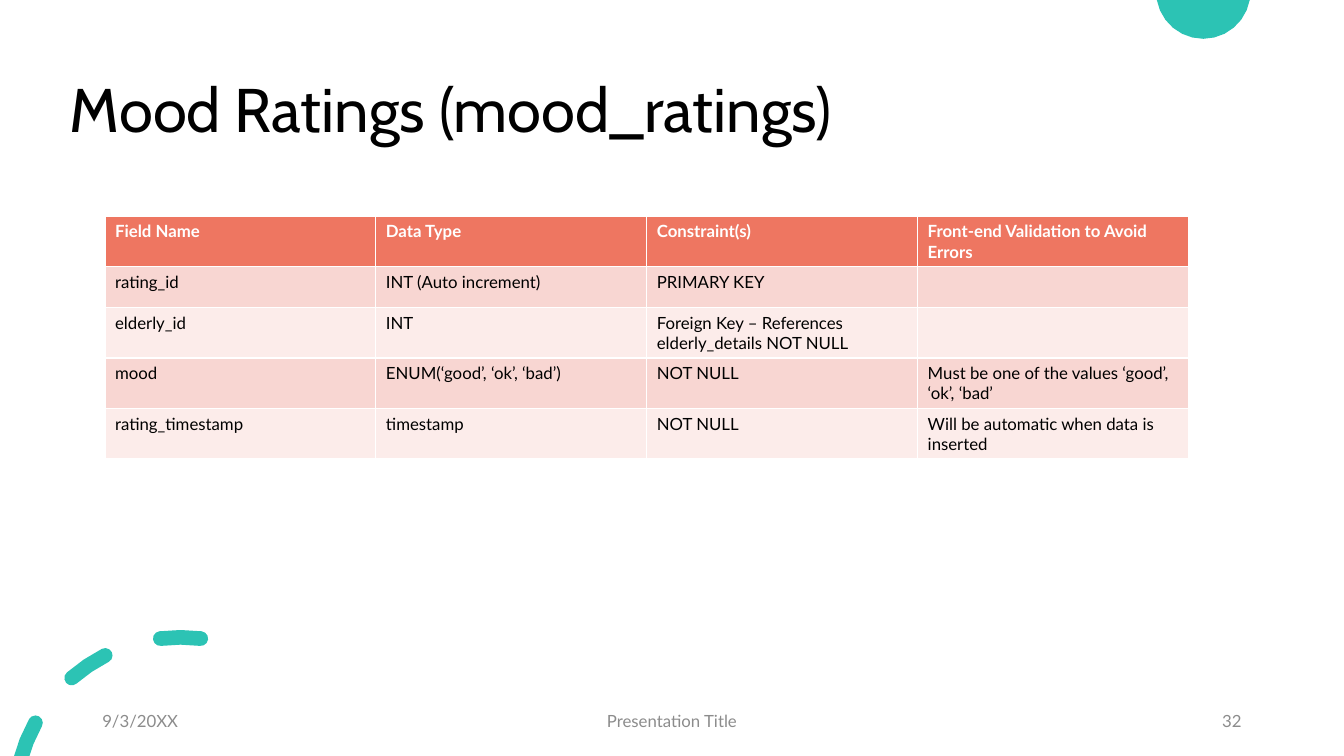
from dataclasses import dataclass
from math import cos, radians, sin

from pptx import Presentation
from pptx.dml.color import RGBColor
from pptx.enum.text import MSO_ANCHOR, MSO_AUTO_SIZE, PP_ALIGN
from pptx.util import Pt

EMU_PER_PX = 9525  # 96 px to the inch
SLIDE_WIDTH, SLIDE_HEIGHT = 1280, 720
LEFT, CENTER, RIGHT = PP_ALIGN.LEFT, PP_ALIGN.CENTER, PP_ALIGN.RIGHT
MIDDLE = MSO_ANCHOR.MIDDLE
NO_AUTOFIT = MSO_AUTO_SIZE.NONE
TITLE_FONT, BODY_FONT = "Cabin", "Lato"
COLORS = {
    "teal": "2CC3B4",
    "black": "000000",
    "white": "FFFFFF",
    "gray": "8C8C8C",
    "header": "EE7661",
    "band_dark": "F8D6D2",
    "band_light": "FCECEA",
}

Point = tuple[float, float]


@dataclass
class FooterItem:
    text: str
    left: int
    width: int
    alignment: PP_ALIGN


@dataclass
class Field:
    name: str
    data_type: str
    constraints: str
    validation: str


FOOTER_ITEMS = [
    FooterItem("9/3/20XX", 88, 288, LEFT),
    FooterItem("Presentation Title", 424, 432, CENTER),
    FooterItem("32", 904, 288, RIGHT),
]
FIELDS = [
    Field("Field Name", "Data Type", "Constraint(s)",
          "Front-end Validation to Avoid Errors"),
    Field("rating_id", "INT (Auto increment)", "PRIMARY KEY", ""),
    Field("elderly_id", "INT",
          "Foreign Key – References elderly_details NOT NULL", ""),
    Field("mood", "ENUM(‘good’, ‘ok’, ‘bad’)", "NOT NULL",
          "Must be one of the values ‘good’, ‘ok’, ‘bad’"),
    Field("rating_timestamp", "timestamp", "NOT NULL",
          "Will be automatic when data is inserted"),
]


def px(length: float) -> int:
    return round(length * EMU_PER_PX)


def rgb(color: str) -> RGBColor:
    return RGBColor.from_string(COLORS[color])


def add_run(paragraph, text: str, font: str, size: int, color: str,
            bold: bool = False) -> None:
    run = paragraph.add_run()
    run.text = text
    run.font.name = font
    run.font.size = Pt(size)
    run.font.bold = bold
    run.font.color.rgb = rgb(color)


def arc(center: Point, radius: float, start: float, end: float,
        steps: int) -> list[Point]:
    """Points along an arc; degrees run counterclockwise from the top."""
    angles = [radians(start + (end - start) * i / steps) for i in range(steps + 1)]
    return [(center[0] - radius * sin(a), center[1] - radius * cos(a)) for a in angles]


def dash(center: Point, radius: float, start: float, sweep: float,
         thickness: float) -> list[Point]:
    """Outline of a curved bar with round ends."""
    half, end = thickness / 2, start + sweep
    start_cap, end_cap = arc(center, radius, start, end, 1)
    return (arc(center, radius + half, start, end, 2)
            + arc(end_cap, half, end, end + 180, 6)[1:-1]
            + arc(center, radius - half, end, start, 2)
            + arc(start_cap, half, start + 180, start + 360, 6)[1:-1])


def cut_at_bottom(outline: list[Point]) -> list[Point]:
    """Keep the part of an outline above the slide's bottom edge."""
    kept = []
    for (x, y), (next_x, next_y) in zip(outline, outline[1:] + outline[:1]):
        if y <= SLIDE_HEIGHT:
            kept.append((x, y))
        if (y <= SLIDE_HEIGHT) != (next_y <= SLIDE_HEIGHT):
            share = (SLIDE_HEIGHT - y) / (next_y - y)
            kept.append((x + share * (next_x - x), SLIDE_HEIGHT))
    return kept


def add_outlines(slide, outlines: list[list[Point]], color: str) -> None:
    """Draw closed outlines as one shape."""
    contours = [[(px(x), px(y)) for x, y in outline] for outline in outlines]
    builder = slide.shapes.build_freeform(*contours[0][0], scale=1.0)
    for index, contour in enumerate(contours):
        if index:
            builder.move_to(*contour[0])
        builder.add_line_segments(contour[1:], close=True)
    shape = builder.convert_to_shape()
    shape.shadow.inherit = False
    shape.fill.solid()
    shape.fill.fore_color.rgb = rgb(color)
    shape.line.fill.background()


def add_title(slide, text: str) -> None:
    title = slide.shapes.title
    title.left, title.top, title.width, title.height = map(px, (57, 38, 1104, 139))
    frame = title.text_frame
    frame.auto_size = NO_AUTOFIT
    frame.vertical_anchor = MIDDLE
    paragraph = frame.paragraphs[0]
    paragraph.alignment = LEFT
    paragraph.line_spacing = 0.9
    add_run(paragraph, text, TITLE_FONT, 44, "black")


def add_footer_item(slide, item: FooterItem) -> None:
    box = slide.shapes.add_textbox(px(item.left), px(667), px(item.width), px(38))
    frame = box.text_frame
    frame.word_wrap = True
    frame.vertical_anchor = MIDDLE
    paragraph = frame.paragraphs[0]
    paragraph.alignment = item.alignment
    add_run(paragraph, item.text, BODY_FONT, 12, "gray")


def add_field_table(slide, fields: list[Field]) -> None:
    """The default table style supplies the white cell borders."""
    column_width, row_height, columns = 258, 39, 4
    table = slide.shapes.add_table(
        len(fields), columns, px(100), px(206),
        px(column_width * columns), px(row_height * len(fields))).table
    for column in table.columns:
        column.width = px(column_width)
    for row_index, field in enumerate(fields):
        table.rows[row_index].height = px(row_height)
        is_header = row_index == 0
        band = "band_dark" if row_index % 2 else "band_light"
        texts = (field.name, field.data_type, field.constraints, field.validation)
        for column_index, text in enumerate(texts):
            cell = table.cell(row_index, column_index)
            cell.fill.solid()
            cell.fill.fore_color.rgb = rgb("header" if is_header else band)
            if text:
                add_run(cell.text_frame.paragraphs[0], text, BODY_FONT, 12,
                        "white" if is_header else "black", bold=is_header)


def main() -> None:
    presentation = Presentation()
    presentation.slide_width = px(SLIDE_WIDTH)
    presentation.slide_height = px(SLIDE_HEIGHT)
    slide = presentation.slides.add_slide(presentation.slide_layouts[5])

    # Corner decorations
    add_outlines(slide, [arc((1146, -8), 45, 100, 260, 12)], "teal")
    dashes = [dash((172, 765), 158, -7 + 34 * i, 14, 14) for i in range(3)]
    add_outlines(slide, [cut_at_bottom(outline) for outline in dashes], "teal")

    # Title and footer
    add_title(slide, "Mood Ratings (mood_ratings)")
    for item in FOOTER_ITEMS:
        add_footer_item(slide, item)

    # Field table
    add_field_table(slide, FIELDS)

    presentation.save("out.pptx")


if __name__ == "__main__":
    main()
